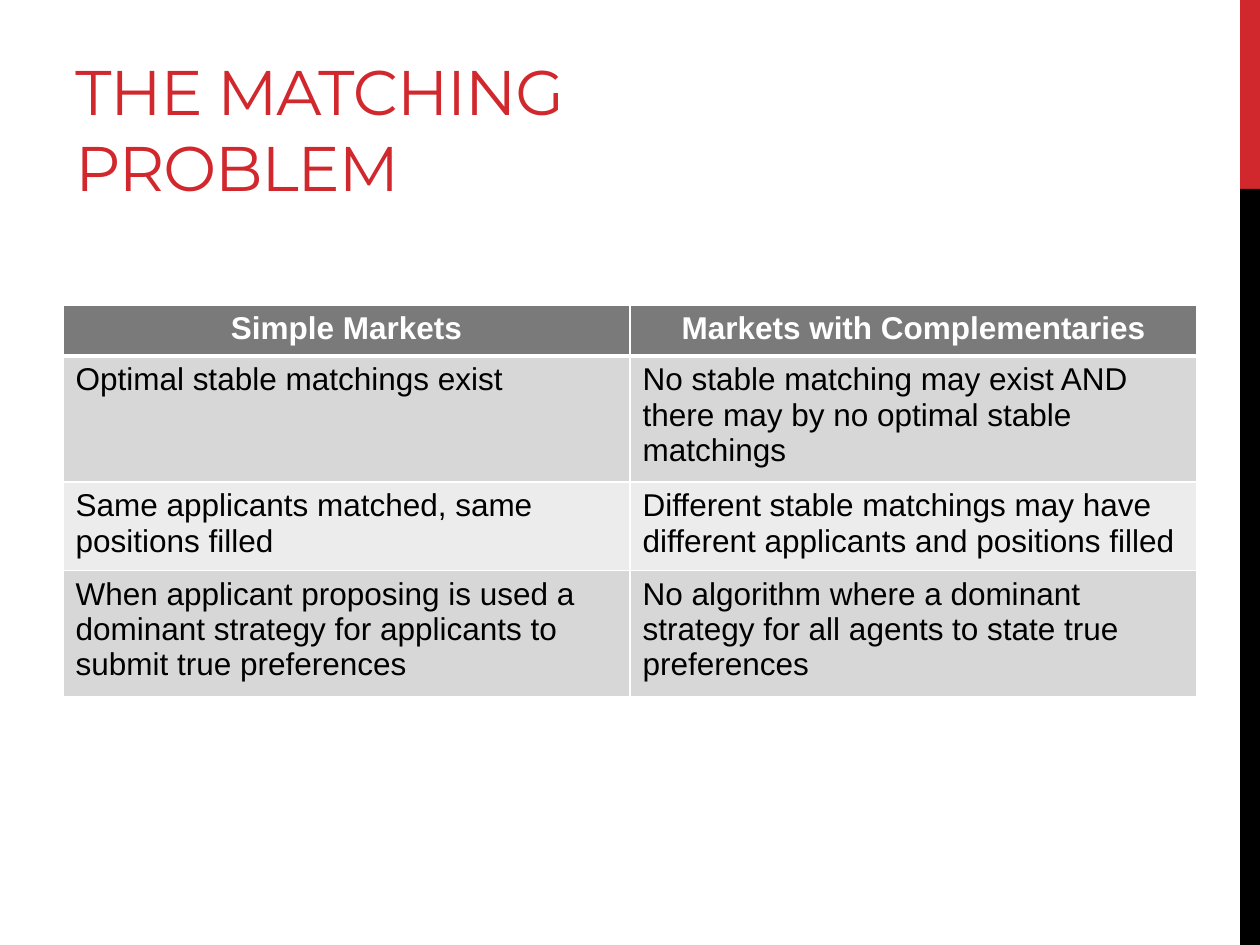
import pptx
import pptx.util
import pptx.dml.color
import pptx.enum.shapes
import pptx.enum.text
import pptx.oxml

EMU_PER_PX = 914400 / 126
RED, BLACK, WHITE = "D1282E", "000000", "FFFFFF"
HEADER_FILL = "7A7A7A"
BAND_FILLS = ["D7D7D7", "ECECEC"]
ROWS = [
    ("Simple Markets", "Markets with Complementaries"),
    ("Optimal stable matchings exist",
     "No stable matching may exist AND there may by no optimal stable matchings"),
    ("Same applicants matched, same positions filled",
     "Different stable matchings may have different applicants and positions filled"),
    ("When applicant proposing is used a dominant strategy for applicants to submit true preferences",
     "No algorithm where a dominant strategy for all agents to state true preferences"),
]


def px(length):
    return pptx.util.Emu(round(length * EMU_PER_PX))


def color(value):
    return pptx.dml.color.RGBColor.from_string(value)


def write_text(frame, text, font="Arial", size=18, fill=BLACK, bold=False,
               centered=False, spacing=None):
    frame.word_wrap = True
    para = frame.paragraphs[0]
    align = pptx.enum.text.PP_ALIGN
    para.alignment = align.CENTER if centered else align.LEFT
    span = para.add_run()
    span.text = text
    span.font.name = font
    span.font.size = pptx.util.Pt(size)
    span.font.bold = bold
    span.font.color.rgb = color(fill)
    if spacing is not None:
        span._r.get_or_add_rPr().set("spc", str(round(spacing * 100)))


def add_block(page, left, top, width, height, fill):
    block = page.shapes.add_shape(pptx.enum.shapes.MSO_SHAPE.RECTANGLE,
                                  px(left), px(top), px(width), px(height))
    block.shadow.inherit = False
    block.fill.solid()
    block.fill.fore_color.rgb = color(fill)
    block.line.fill.background()


def add_side_bar(page, left, top, width, height):
    accent = height // 5
    add_block(page, left, top, width, accent, RED)
    add_block(page, left, top + accent, width, height - accent, BLACK)


def add_title(page, left, top, width, height, text):
    box = page.shapes.add_textbox(px(left), px(top), px(width), px(height))
    box.text_frame.vertical_anchor = pptx.enum.text.MSO_ANCHOR.BOTTOM
    write_text(box.text_frame, text, font="Montserrat", size=36, fill=RED, spacing=-0.6)


def set_border(cell, side, points):
    cell._tc.get_or_add_tcPr().append(pptx.oxml.parse_xml(
        f'<a:ln{side} xmlns:a="http://schemas.openxmlformats.org/drawingml/2006/main" '
        f'w="{pptx.util.Pt(points)}"><a:solidFill><a:srgbClr val="{WHITE}"/>'
        f'</a:solidFill></a:ln{side}>'))


def add_comparison(page, left, top, width, row_height, rows):
    columns = len(rows[0])
    frame = page.shapes.add_table(len(rows), columns, px(left), px(top),
                                  px(width), px(row_height * len(rows)))
    for column in frame.table.columns:
        column.width = px(width / columns)
    for row_index, row in enumerate(rows):
        header = row_index == 0
        fill = HEADER_FILL if header else BAND_FILLS[(row_index - 1) % 2]
        borders = {"L": 1, "R": 1, "T": 3 if row_index == 1 else 1, "B": 3 if header else 1}
        for column_index, text in enumerate(row):
            cell = frame.table.cell(row_index, column_index)
            for side, points in borders.items():
                set_border(cell, side, points)
            cell.fill.solid()
            cell.fill.fore_color.rgb = color(fill)
            write_text(cell.text_frame, text, fill=WHITE if header else BLACK,
                       bold=header, centered=header)


def main():
    deck = pptx.Presentation()
    deck.slide_width, deck.slide_height = px(1260), px(945)
    page = deck.slides.add_slide(deck.slide_layouts[6])
    add_side_bar(page, 1240, 0, 20, 945)
    add_title(page, 63, 21, 798, 189, "THE MATCHING PROBLEM")
    add_comparison(page, 63, 305, 1134, 51, ROWS)
    deck.save("out.pptx")


if __name__ == "__main__":
    main()
